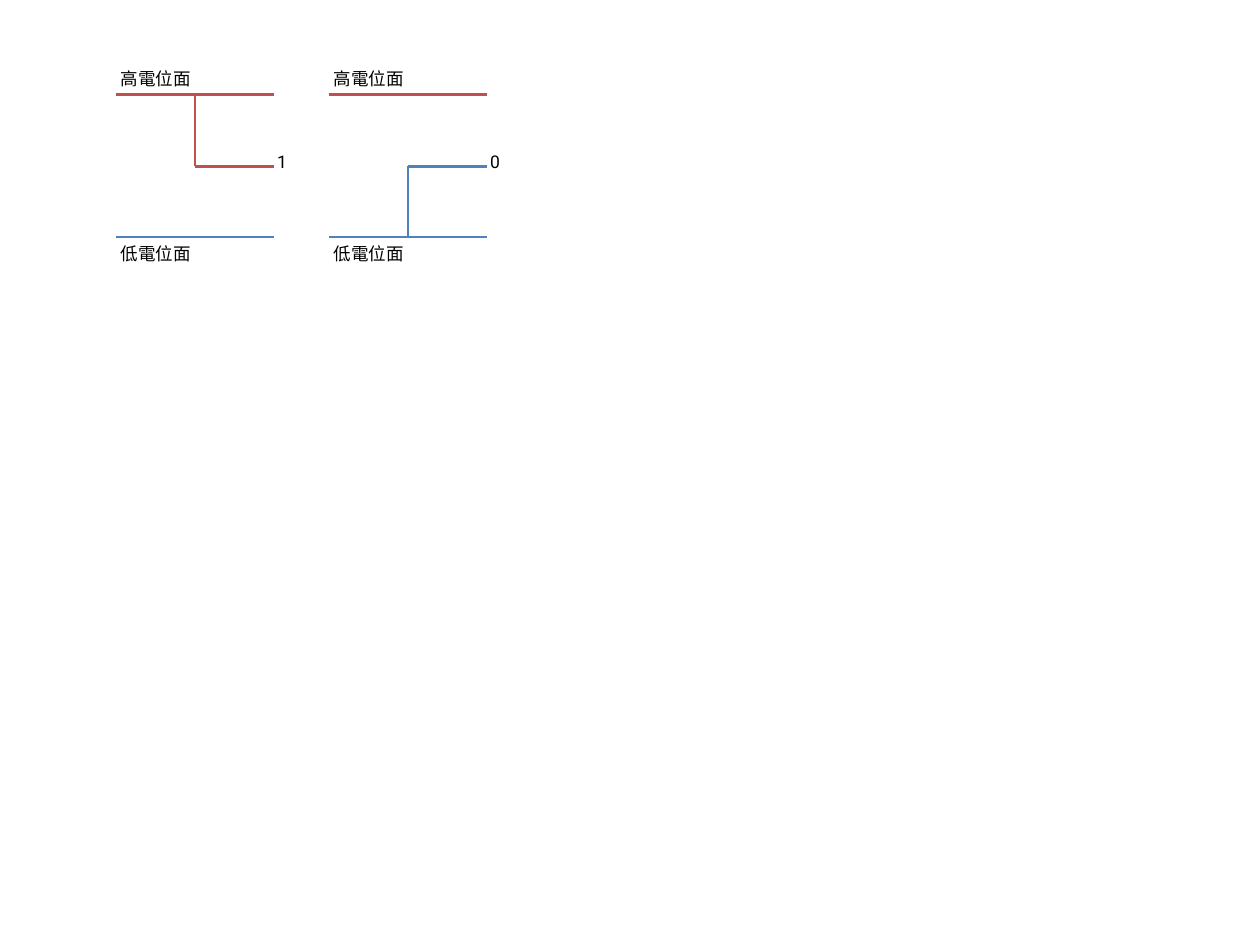
from lxml import etree
from pptx import Presentation
from pptx.dml.color import RGBColor
from pptx.enum.shapes import MSO_CONNECTOR as Connector
from pptx.enum.text import MSO_AUTO_SIZE as AutoSize
from pptx.oxml.ns import qn
from pptx.util import Inches, Pt

COLORS = {"high": "C0504D", "low": "4F81BD", "text": "000000"}
HIGH_Y, OUTPUT_Y, LOW_Y = 0.75, 1.32, 1.88
PLANE_WIDTH = 1.255
FIRST_LEFT, DIAGRAM_STEP = 0.92, 1.69


def write_text(frame, text, font="Roboto", size=10, color=COLORS["text"]):
    run = frame.paragraphs[0].add_run()
    run.text = text
    run.font.name = font
    run.font.size = Pt(size)
    run.font.color.rgb = RGBColor.from_string(color)


class LevelDiagrams:
    """Draws logic levels as an output joined to a high or low potential plane."""

    line_width = Pt(1.5)
    label_height = Inches(0.25)
    inset = Inches(0.04)

    def __init__(self, slide):
        self.slide = slide

    def line(self, group, start, end, level):
        wire = group.shapes.add_connector(
            Connector.STRAIGHT, *map(Inches, (*start, *end)))
        wire.line.color.rgb = RGBColor.from_string(COLORS[level])
        wire.line.width = self.line_width
        etree.SubElement(wire._element.spPr, qn("a:effectLst"))

    def label(self, group, text, left, top, width):
        box = group.shapes.add_textbox(
            Inches(left), Inches(top), Inches(width), self.label_height)
        frame = box.text_frame
        frame.margin_left = frame.margin_right = self.inset
        frame.margin_top = frame.margin_bottom = self.inset
        frame.word_wrap = False
        frame.auto_size = AutoSize.SHAPE_TO_FIT_TEXT
        write_text(frame, text)

    def diagram(self, left, level, digit):
        group = self.slide.shapes.add_group_shape()
        right, middle = left + PLANE_WIDTH, left + PLANE_WIDTH / 2
        planes = {"high": HIGH_Y, "low": LOW_Y}
        for plane, y in planes.items():
            self.line(group, (left, y), (right, y), plane)
        self.label(group, "高電位面", left, 0.5, 0.64)
        self.label(group, "低電位面", left, 1.89, 0.64)
        self.line(group, (middle, planes[level]), (middle, OUTPUT_Y), level)
        self.line(group, (middle, OUTPUT_Y), (right, OUTPUT_Y), level)
        self.label(group, digit, right - 0.015, 1.16, 0.15)


def main():
    deck = Presentation()
    deck.slide_width, deck.slide_height = Inches(10), Inches(7.5)
    diagrams = LevelDiagrams(deck.slides.add_slide(deck.slide_layouts[6]))
    for index, (level, digit) in enumerate([("high", "1"), ("low", "0")]):
        diagrams.diagram(FIRST_LEFT + index * DIAGRAM_STEP, level, digit)
    deck.save("out.pptx")


if __name__ == "__main__":
    main()
